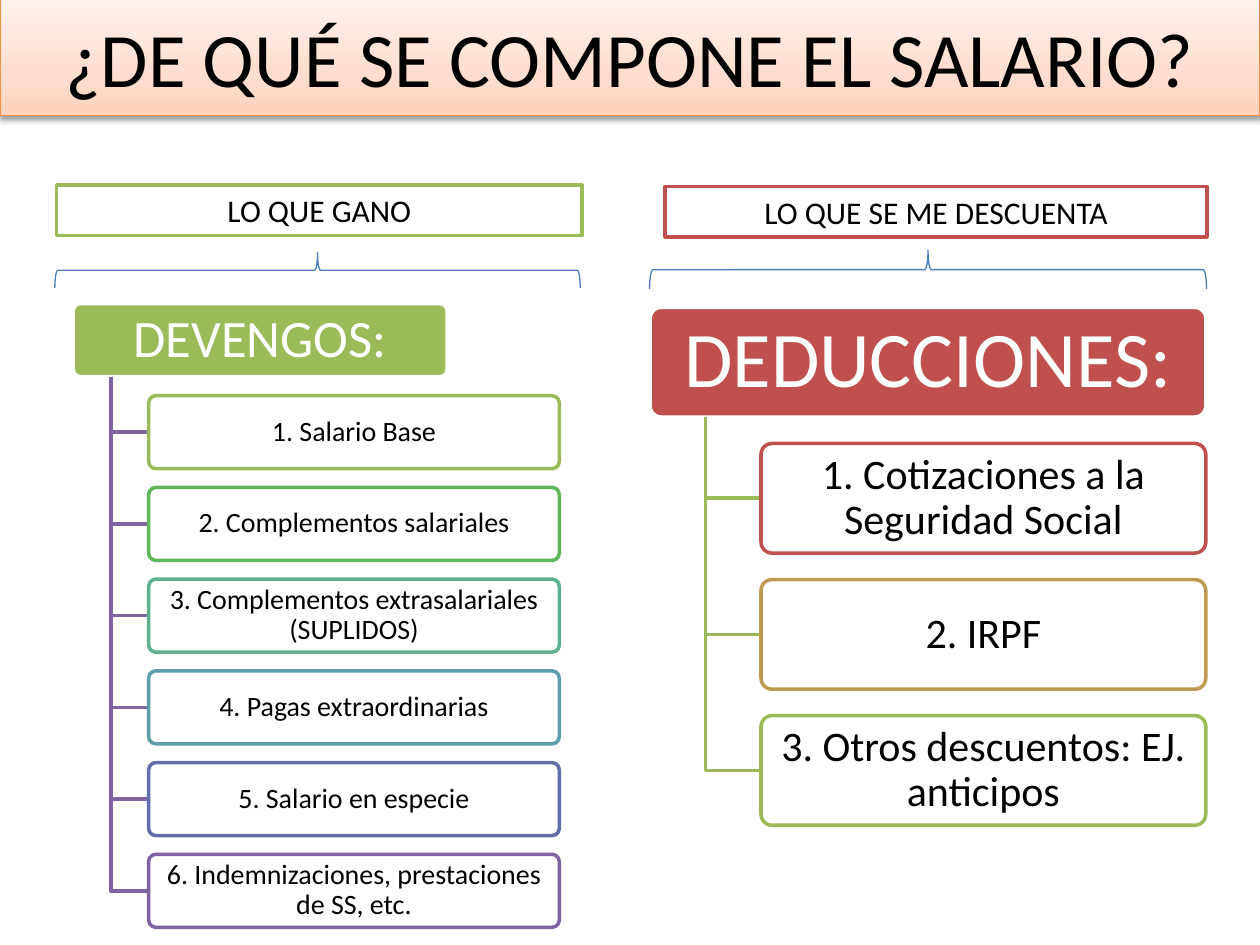
from copy import deepcopy

from lxml import etree
from pptx import Presentation
from pptx.dml.color import RGBColor
from pptx.enum import shapes, text
from pptx.oxml.ns import qn
from pptx.util import Inches, Pt

BLACK = RGBColor(0, 0, 0)
WHITE = RGBColor(255, 255, 255)
GREEN = RGBColor(0x9B, 0xBB, 0x59)
RED = RGBColor(0xC0, 0x50, 0x4D)
PURPLE = RGBColor(0x80, 0x64, 0xA2)
BLUE = RGBColor(0x4B, 0x7E, 0xBC)
ORANGE = RGBColor(0xF6, 0x92, 0x40)
LEAF = RGBColor(0x5F, 0xB6, 0x5B)
MINT = RGBColor(0x5D, 0xB1, 0x8E)
TEAL = RGBColor(0x5F, 0x9D, 0xAC)
INDIGO = RGBColor(0x62, 0x6E, 0xA7)
OCHRE = RGBColor(0xBD, 0x9B, 0x53)
PEACH = [RGBColor(0xFF, 0xD2, 0xBD), RGBColor(0xFF, 0xDE, 0xD0), RGBColor(0xFF, 0xF2, 0xED)]

KIND = shapes.MSO_SHAPE

deck = Presentation()
deck.slide_width, deck.slide_height = Inches(10), Inches(7.5)
slide = deck.slides.add_slide(deck.slide_layouts[6])


def style(shape, line, width, fill=None):
    shape.shadow.inherit = False
    shape.line.color.rgb = line
    shape.line.width = Pt(width)
    if fill is None:
        shape.fill.background()
    else:
        shape.fill.solid()
        shape.fill.fore_color.rgb = fill


def add_box(kind, spot, words, size, line, fill=WHITE, color=BLACK, width=2, pad=0.1, lead=1.0):
    """Add a filled shape with one centred paragraph; pad is the side inset in inches."""
    box = slide.shapes.add_shape(kind, *map(Inches, spot))
    style(box, line, width, fill)
    if kind == KIND.ROUNDED_RECTANGLE:
        box.adjustments[0] = 0.1
    frame = box.text_frame
    layout = {
        "word_wrap": True,
        "vertical_anchor": text.MSO_ANCHOR.MIDDLE,
        "margin_left": Inches(pad), "margin_right": Inches(pad),
        "margin_top": Inches(0.05), "margin_bottom": Inches(0.05),
    }
    for key, val in layout.items():
        setattr(frame, key, val)
    para = frame.paragraphs[0]
    para.alignment = text.PP_ALIGN.CENTER
    para.line_spacing = lead
    run = para.add_run()
    run.text = words
    for key, val in {"name": "Calibri", "size": Pt(size)}.items():
        setattr(run.font, key, val)
    run.font.color.rgb = color
    return box


# Title band with gradient and soft shadow
title = add_box(KIND.RECTANGLE, (0, -0.02, 10, 0.94), "¿DE QUÉ SE COMPONE EL SALARIO?",
                44, ORANGE, width=0.75)
title.fill.gradient()
title.fill.gradient_angle = 90
props = title._element.spPr
stops = props.find(qn("a:gradFill")).find(qn("a:gsLst"))
stops.insert(1, deepcopy(stops[0]))
for stop, place, tint in zip(title.fill.gradient_stops, (0, 0.35, 1), PEACH):
    stop.position = place
    stop.color.rgb = tint
glow = etree.SubElement(props.find(qn("a:effectLst")), qn("a:outerShdw"),
                        blurRad=str(Pt(3.1)), dist=str(Pt(1.6)), dir="5400000", rotWithShape="0")
shade = etree.SubElement(glow, qn("a:srgbClr"), val="000000")
etree.SubElement(shade, qn("a:alpha"), val="38000")

# Each column: a heading, a trunk and evenly spaced items
columns = [
    {"head": ("DEVENGOS:", 30, GREEN), "spot": (0.58, 2.41, 2.97, 0.58),
     "trunk": (0.88, PURPLE), "item": (1.18, 3.14, 3.26, 0.58), "step": 0.728,
     "size": 16, "pad": 0.05,
     "rows": [("1. Salario Base", GREEN), ("2. Complementos salariales", LEAF),
              ("3. Complementos extrasalariales (SUPLIDOS)", MINT),
              ("4. Pagas extraordinarias", TEAL), ("5. Salario en especie", INDIGO),
              ("6. Indemnizaciones, prestaciones de SS, etc.", PURPLE)]},
    {"head": ("DEDUCCIONES:", 45, RED), "spot": (5.16, 2.44, 4.41, 0.87),
     "trunk": (5.6, GREEN), "item": (6.04, 3.52, 3.53, 0.87), "step": 1.08,
     "size": 24, "pad": 0.08,
     "rows": [("1. Cotizaciones a la Seguridad Social", RED), ("2. IRPF", OCHRE),
              ("3. Otros descuentos: EJ. anticipos", GREEN)]},
]
for col in columns:
    words, size, tone = col["head"]
    add_box(KIND.ROUNDED_RECTANGLE, col["spot"], words, size, WHITE, tone, WHITE, lead=0.9)
    base = col["spot"][1] + col["spot"][3]
    stem, ink = col["trunk"]
    left, top, wide, high = col["item"]
    for i, (words, tone) in enumerate(col["rows"]):
        y = top + i * col["step"]
        mid = y + high / 2
        path = slide.shapes.build_freeform(Inches(stem), Inches(base))
        path.add_line_segments([(Inches(stem), Inches(mid)), (Inches(left), Inches(mid))],
                               close=False)
        style(path.convert_to_shape(), ink, 2)
        add_box(KIND.ROUNDED_RECTANGLE, (left, y, wide, high), words, col["size"], tone,
                pad=col["pad"], lead=0.9)

# Braces and the labels above them
for spot in [(2.38, 0.06, 0.28, 4.17), (7.21, -0.07, 0.31, 4.42)]:
    brace = slide.shapes.add_shape(KIND.LEFT_BRACE, *map(Inches, spot))
    brace.rotation = 90
    style(brace, BLUE, 0.75)
for spot, words, tone in [((0.45, 1.47, 4.17, 0.4), "LO QUE GANO", GREEN),
                          ((5.28, 1.48, 4.3, 0.4), "LO QUE SE ME DESCUENTA", RED)]:
    add_box(KIND.RECTANGLE, spot, words, 18, tone)

deck.save("out.pptx")
